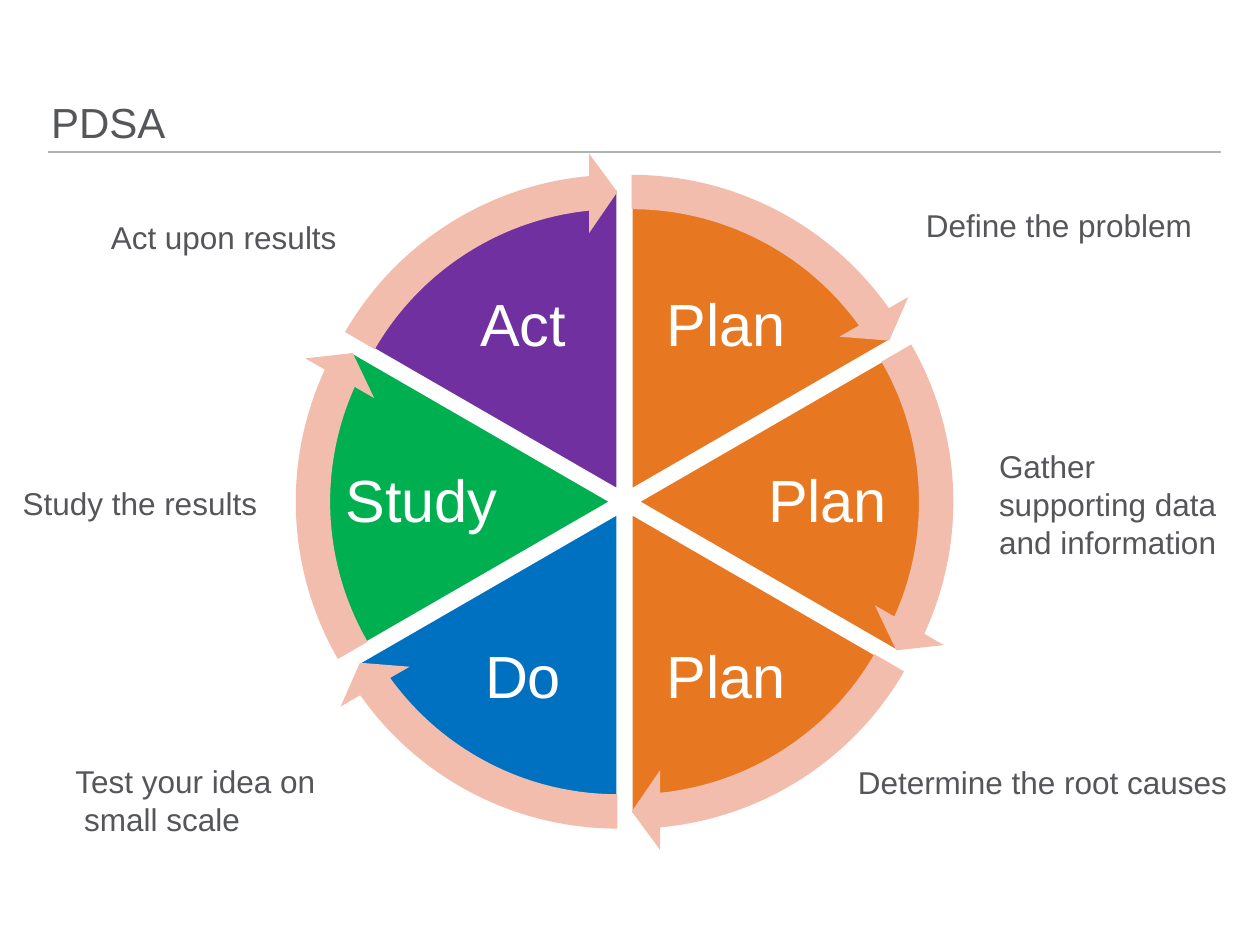
"""Build the PDSA cycle slide."""
from dataclasses import dataclass
from math import cos, radians, sin

from lxml import etree
from pptx import Presentation
from pptx.dml.color import RGBColor
from pptx.enum import shapes, text
from pptx.oxml import ns
from pptx.util import Pt


@dataclass(frozen=True)
class Theme:
    font: str = "Arial"
    ink: str = "55565A"
    rule: str = "B1B3B3"
    white: str = "FFFFFF"
    arrow: str = "F2BDAC"
    plan: str = "E87722"
    do: str = "0070C0"
    study: str = "00B050"
    act: str = "7030A0"
    title_size: int = 24
    label_size: int = 34
    caption_size: int = 18


def style_text(tf, size, color, align=text.PP_ALIGN.LEFT, spacing=1.0):
    for p in tf.paragraphs:
        p.alignment = align
        p.line_spacing = spacing
        for r in p.runs:
            r.font.name = theme.font
            r.font.size = Pt(size)
            r.font.color.rgb = RGBColor.from_string(color)


def add_ring_part(kind, x, y, size, color, adjustments):
    sp = wheel.shapes.add_shape(kind, Pt(x - size / 2), Pt(y - size / 2), Pt(size), Pt(size))
    sp.shadow.inherit = False
    sp.fill.solid()
    sp.fill.fore_color.rgb = RGBColor.from_string(color)
    for i, value in enumerate(adjustments):
        sp.adjustments[i] = value
    return sp


theme = Theme()
prs = Presentation()
prs.slide_width, prs.slide_height = Pt(720), Pt(540)
s = prs.slides.add_slide(prs.slide_layouts[5])

title = s.shapes.title
title.left, title.top, title.width, title.height = Pt(29.2), Pt(0), Pt(668), Pt(84.2)
tf = title.text_frame
tf.text = "PDSA"
tf.auto_size = text.MSO_AUTO_SIZE.NONE
tf.vertical_anchor = text.MSO_ANCHOR.BOTTOM
tf.margin_left = tf.margin_top = tf.margin_right = tf.margin_bottom = 0
style_text(tf, theme.title_size, theme.ink, spacing=0.9)

rule = s.shapes.add_connector(shapes.MSO_CONNECTOR.STRAIGHT, Pt(27.2), Pt(86.7), Pt(697.7), Pt(86.7))
rule.line.color.rgb = RGBColor.from_string(theme.rule)
rule.line.width = Pt(1)
etree.SubElement(rule._element.spPr, ns.qn("a:effectLst"))

steps = [
    ("Plan", theme.plan),
    ("Plan", theme.plan),
    ("Plan", theme.plan),
    ("Do", theme.do),
    ("Study", theme.study),
    ("Act", theme.act),
]
center_x, center_y = 356.9, 286.7
pie_size, arrow_size = 342.7, 385.2
gap, label_radius = 8.2, 116
label_w, label_h = 108, 68
full_turn, step_turn, head_turn = 216, 36, 3.275

wheel = s.shapes.add_group_shape()
arrows = []
for i, (name, color) in enumerate(steps):
    angle = radians(60 * i - 60)
    x, y = center_x + gap * cos(angle), center_y + gap * sin(angle)
    start = (162 + step_turn * i) % full_turn
    end = (start + step_turn) % full_turn
    pie = add_ring_part(shapes.MSO_SHAPE.PIE, x, y, pie_size, color, (start, end))
    pie.line.color.rgb = RGBColor.from_string(theme.white)
    pie.line.width = Pt(1)
    arrows.append((x, y, start, (end - head_turn) % full_turn))

    label_x = center_x + label_radius * cos(angle)
    label_y = center_y + 1 + label_radius * sin(angle)
    label = wheel.shapes.add_textbox(
        Pt(label_x - label_w / 2), Pt(label_y - label_h / 2), Pt(label_w), Pt(label_h))
    tf = label.text_frame
    tf.text = name
    tf.word_wrap = True
    tf.vertical_anchor = text.MSO_ANCHOR.MIDDLE
    tf.margin_left = tf.margin_top = tf.margin_right = tf.margin_bottom = Pt(3.4)
    style_text(tf, theme.label_size, theme.white, text.PP_ALIGN.CENTER, 0.9)

for x, y, start, end in arrows:
    arrow = add_ring_part(shapes.MSO_SHAPE.CIRCULAR_ARROW, x, y, arrow_size, theme.arrow,
                          (0.051, head_turn, end, start, 0.059))
    arrow.line.fill.background()

captions = [
    ("Define the problem", 522, 114.2, 167.8, 29, False),
    ("Gather supporting data and information", 563.8, 252, 156.2, 72.7, True),
    ("Determine the root causes", 483.1, 432.7, 227.5, 29, False),
    ("Test your idea on\n small scale", 36, 432, 152.6, 51, False),
    ("Study the results", 5.8, 273.3, 149.8, 29, False),
    ("Act upon results", 56.2, 121, 144.7, 29, False),
]
for words, x, y, w, h, wrap in captions:
    tf = s.shapes.add_textbox(Pt(x), Pt(y), Pt(w), Pt(h)).text_frame
    tf.text = words
    tf.word_wrap = wrap
    tf.auto_size = text.MSO_AUTO_SIZE.SHAPE_TO_FIT_TEXT
    style_text(tf, theme.caption_size, theme.ink)

prs.save("out.pptx")
